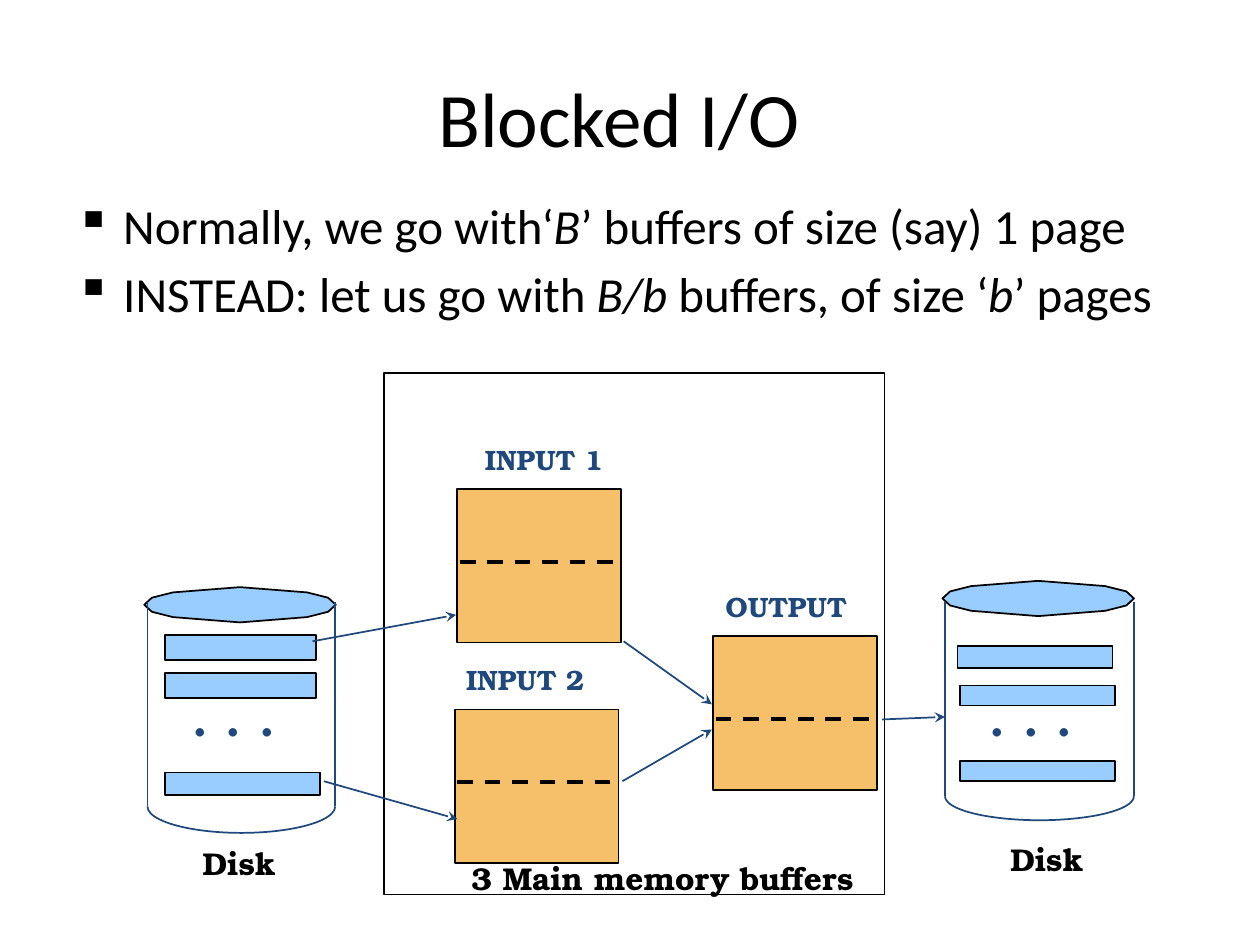
from lxml.etree import SubElement
from pptx import Presentation
from pptx.dml.color import RGBColor
from pptx.enum.dml import MSO_LINE
from pptx.enum.shapes import MSO_CONNECTOR, MSO_SHAPE
from pptx.enum.text import MSO_ANCHOR, PP_ALIGN
from pptx.oxml.ns import qn
from pptx.util import Inches, Pt

BLACK = RGBColor(0x00, 0x00, 0x00)
NAVY = RGBColor(0x1F, 0x49, 0x7D)
SKY = RGBColor(0x99, 0xCC, 0xFF)
ORANGE = RGBColor(0xF6, 0xBF, 0x69)
SANS = "Calibri"
SERIF = "TeX Gyre Bonum"

# One quarter of a lid's outline, as fractions of its half width and half height
LID_QUARTER = [(1, 0), (0.92, 0.4), (0.7, 0.7), (0, 1)]


class Diagram:
    def __init__(self, slide):
        self.shapes = slide.shapes

    def text(self, left, top, width, height, wrap=False):
        frame = self.shapes.add_textbox(
            Inches(left), Inches(top), Inches(width), Inches(height)).text_frame
        frame.word_wrap = wrap
        return frame

    def style(self, font, name, size, color, bold=False):
        font.name, font.size, font.bold = name, Pt(size), bold
        font.color.rgb = color

    def label(self, words, left, top, width, height, size=16, color=NAVY,
              name=SERIF, bold=True):
        paragraph = self.text(left, top, width, height).paragraphs[0]
        paragraph.text = words
        self.style(paragraph.font, name, size, color, bold)

    def title(self, words, left, top, width, height):
        frame = self.text(left, top, width, height, wrap=True)
        frame.vertical_anchor = MSO_ANCHOR.MIDDLE
        paragraph = frame.paragraphs[0]
        paragraph.text = words
        paragraph.alignment = PP_ALIGN.CENTER
        self.style(paragraph.font, SANS, 44, BLACK)

    def bullets(self, items, left, top, width, height):
        """Each item is a list of text pieces; every second piece is italic."""
        frame = self.text(left, top, width, height, wrap=True)
        for row, pieces in enumerate(items):
            paragraph = frame.add_paragraph() if row else frame.paragraphs[0]
            properties = paragraph._p.get_or_add_pPr()
            properties.set("marL", str(Inches(0.38)))
            properties.set("indent", str(-Inches(0.38)))
            SubElement(properties, qn("a:buChar")).set("char", "▪")
            if row:
                paragraph.space_before = Pt(5.6)
            self.style(paragraph.font, SANS, 28, BLACK)
            for place, piece in enumerate(pieces):
                run = paragraph.add_run()
                run.text = piece
                if place % 2:
                    run.font.italic = True

    def finish(self, shape, fill, line):
        shape.shadow.inherit = False
        if fill is None:
            shape.fill.background()
        else:
            shape.fill.solid()
            shape.fill.fore_color.rgb = fill
        shape.line.color.rgb = line
        shape.line.width = Pt(1)

    def box(self, left, top, width, height, fill=None):
        shape = self.shapes.add_shape(
            MSO_SHAPE.RECTANGLE, Inches(left), Inches(top), Inches(width), Inches(height))
        self.finish(shape, fill, BLACK)

    def line(self, start, end, color=NAVY, weight=1, dashed=False, arrow=False):
        connector = self.shapes.add_connector(
            MSO_CONNECTOR.STRAIGHT, *(Inches(value) for value in (*start, *end)))
        connector.line.color.rgb = color
        connector.line.width = Pt(weight)
        if dashed:
            connector.line.dash_style = MSO_LINE.DASH
        if arrow:
            SubElement(connector.line._get_or_add_ln(), qn("a:tailEnd")).set("type", "stealth")
        SubElement(connector._element.spPr, qn("a:effectLst"))

    def lid(self, center, middle, width, height):
        upper_right = [(x, -y) for x, y in LID_QUARTER]
        upper = upper_right + [(-x, y) for x, y in upper_right[-2::-1]]
        outline = upper + [(-x, -y) for x, y in upper[1:-1]]
        points = [(Inches(center + x * width / 2), Inches(middle + y * height / 2))
                  for x, y in outline]
        builder = self.shapes.build_freeform(*points[0])
        builder.add_line_segments(points[1:], close=True)
        self.finish(builder.convert_to_shape(), SKY, BLACK)

    def disk(self, left, right, lid_middle, side_end, bottom):
        self.lid((left + right) / 2 - 0.01, lid_middle, 1.52, 0.28)
        for side in (left, right):
            self.line((side, 4.78), (side, side_end))
        depth = bottom - side_end
        base = self.shapes.add_shape(
            MSO_SHAPE.ARC, Inches(left), Inches(side_end - depth),
            Inches(right - left), Inches(2 * depth))
        # Angles count in 1/60000 degree, adjustments in units of 100000
        base.adjustments[0] = 0
        base.adjustments[1] = 180 * 0.6
        self.finish(base, None, NAVY)

    def buffer(self, left, top, divider):
        self.box(left, top, 1.3, 1.22, ORANGE)
        self.line((left + 0.02, divider), (left + 1.27, divider), BLACK, 2.25, dashed=True)


def main():
    presentation = Presentation()
    presentation.slide_width, presentation.slide_height = Inches(10), Inches(7.5)
    diagram = Diagram(presentation.slides.add_slide(presentation.slide_layouts[6]))

    diagram.title("Blocked I/O", 0, 0.3, 9.83, 1.25)
    diagram.bullets([
        ["Normally, we go with‘", "B", "’ buffers of size (say) 1 page"],
        ["INSTEAD: let us go with ", "B/b", " buffers, of size ‘", "b", "’ pages"],
    ], 0.5, 1.5, 9.33, 5.67)

    diagram.box(3.05, 2.96, 3.97, 4.14)
    for left, top, divider in [(3.63, 3.88, 4.46), (3.61, 5.63, 6.21), (5.66, 5.05, 5.71)]:
        diagram.buffer(left, top, divider)
    diagram.label("INPUT 1", 3.75, 3.46, 1.14, 0.36)
    diagram.label("INPUT 2", 3.6, 5.21, 1.15, 0.36)
    diagram.label("OUTPUT", 5.66, 4.63, 1.16, 0.36)
    diagram.label("3 Main memory buffers", 3.64, 6.77, 3.35, 0.4, 18, BLACK)

    diagram.disk(1.17, 2.66, 4.8, 6.4, 6.61)
    diagram.disk(7.5, 9, 4.75, 6.32, 6.51)
    pages = [
        (1.31, 5.04, 1.2, 0.2), (1.31, 5.34, 1.2, 0.2), (1.31, 6.13, 1.23, 0.18),
        (7.6, 5.13, 1.23, 0.17), (7.62, 5.44, 1.23, 0.16), (7.62, 6.04, 1.23, 0.16),
    ]
    for page in pages:
        diagram.box(*page, SKY)
    for dots_left, disk_left, disk_top in [(1.42, 1.51, 6.65), (7.75, 7.92, 6.62)]:
        diagram.label(". . .", dots_left, 5.24, 0.9, 0.76, 40, NAVY, SANS, False)
        diagram.label("Disk", disk_left, disk_top, 0.78, 0.4, 18, BLACK)

    flows = [
        ((2.48, 5.09), (3.62, 4.88)), ((2.57, 6.2), (3.63, 6.5)),
        ((4.95, 5.09), (5.65, 5.59)), ((4.94, 6.2), (5.65, 5.79)),
        ((7, 5.71), (7.5, 5.69)),
    ]
    for start, end in flows:
        diagram.line(start, end, arrow=True)

    presentation.save("out.pptx")


if __name__ == "__main__":
    main()
